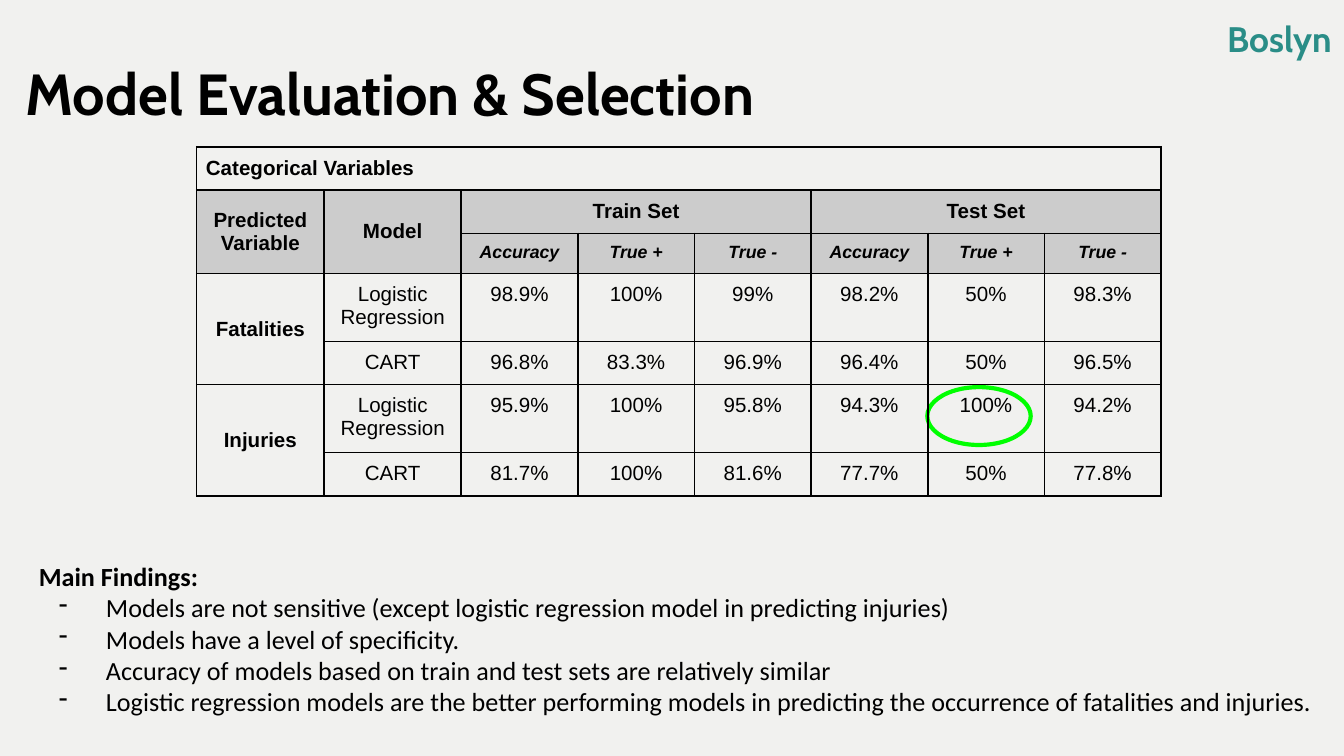
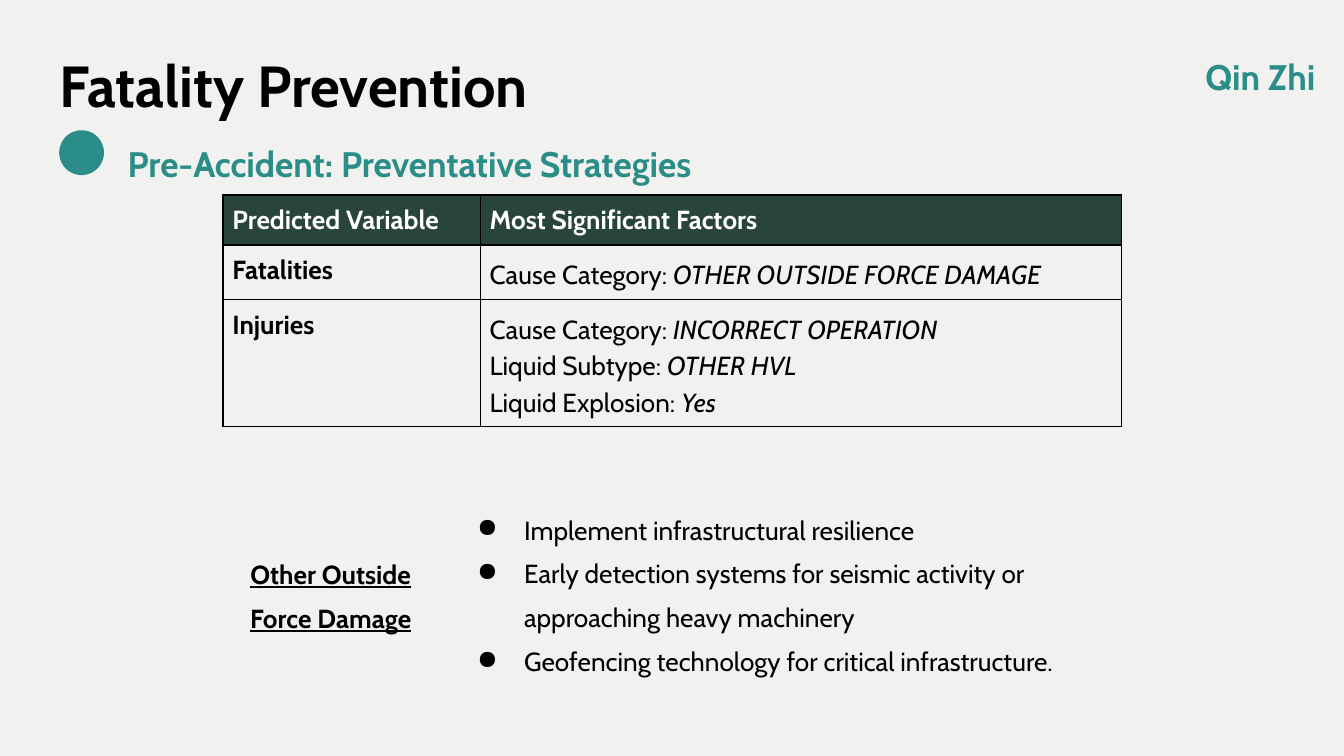
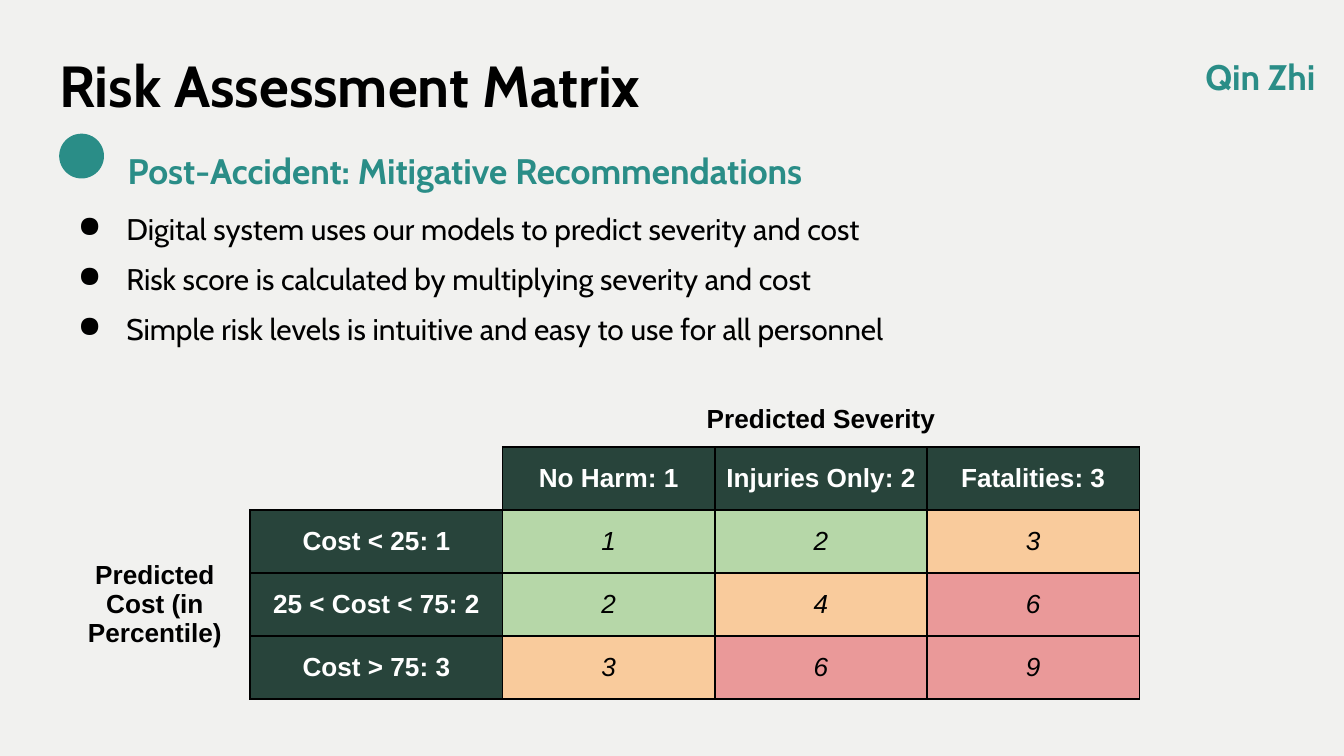
from lxml import etree
from pptx import Presentation
from pptx.dml.color import RGBColor
from pptx.enum.shapes import MSO_SHAPE
from pptx.enum.text import MSO_ANCHOR, MSO_AUTO_SIZE, PP_ALIGN
from pptx.oxml.ns import qn
from pptx.util import Pt

OVAL = MSO_SHAPE.OVAL
TOP, MIDDLE = MSO_ANCHOR.TOP, MSO_ANCHOR.MIDDLE
LEFT, CENTER, JUSTIFY = PP_ALIGN.LEFT, PP_ALIGN.CENTER, PP_ALIGN.JUSTIFY
GROW = MSO_AUTO_SIZE.SHAPE_TO_FIT_TEXT
FIXED = MSO_AUTO_SIZE.NONE

COLORS = {
    "background": "F1F1EF",
    "text": "000000",
    "white": "FFFFFF",
    "teal": "2A8D87",
    "header": "28443B",
    "gray": "CCCCCC",
    "marker": "00FF00",
    "low": "B6D7A8",
    "medium": "F9CB9C",
    "high": "EA9999",
}

HEADING_FONT = "Cabin"
TABLE_FONT = "Arial"
CELL_MARGIN = 5
ALL_SIDES = "LRTB"


def rgb(name):
    return RGBColor.from_string(COLORS[name])


# Text
def format_run(run, size, font=HEADING_FONT, color="text", bold=False,
               italic=False, underline=False):
    run.font.size = Pt(size)
    run.font.name = font
    run.font.color.rgb = rgb(color)
    run.font.bold = bold
    run.font.italic = italic
    run.font.underline = underline


def set_bullet(paragraph, character, hanging):
    properties = paragraph._p.get_or_add_pPr()
    properties.set("marL", str(Pt(36)))
    properties.set("indent", str(-Pt(hanging)))
    color = etree.SubElement(properties, qn("a:buClr"))
    etree.SubElement(color, qn("a:srgbClr"), val=COLORS["text"])
    etree.SubElement(properties, qn("a:buChar"), char=character)


def add_text(slide, left, top, width, height, text, size, align=LEFT,
             spacing=1.4, margin=0, auto_size=GROW, bullet=None, hanging=25.2,
             **run_style):
    """Add a text box; each line of text becomes a paragraph."""
    box = slide.shapes.add_textbox(Pt(left), Pt(top), Pt(width), Pt(height))
    text_frame = box.text_frame
    text_frame.word_wrap = True
    text_frame.auto_size = auto_size
    text_frame.margin_left = text_frame.margin_right = Pt(margin)
    text_frame.margin_top = text_frame.margin_bottom = Pt(margin)
    text_frame.text = text
    for paragraph in text_frame.paragraphs:
        paragraph.alignment = align
        paragraph.line_spacing = spacing
        if bullet:
            set_bullet(paragraph, bullet, hanging)
        for run in paragraph.runs:
            format_run(run, size, **run_style)
    return text_frame


def add_heading(slide, left, top, width, text):
    add_text(slide, left, top, width, 23, text, 19, color="teal", bold=True)


# Shapes
def add_oval(slide, left, top, width, height, fill=None, line=None):
    oval = slide.shapes.add_shape(OVAL, Pt(left), Pt(top), Pt(width), Pt(height))
    oval.shadow.inherit = False
    if fill:
        oval.fill.solid()
        oval.fill.fore_color.rgb = rgb(fill)
    else:
        oval.fill.background()
    if line:
        oval.line.color.rgb = rgb(line)
        oval.line.width = Pt(2.25)
    else:
        oval.line.fill.background()


# Tables
def set_borders(cell, sides):
    properties = cell._tc.get_or_add_tcPr()
    for side in ALL_SIDES:
        line = etree.SubElement(properties, qn("a:ln" + side), w=str(Pt(1)))
        if side in sides:
            fill = etree.SubElement(line, qn("a:solidFill"))
            etree.SubElement(fill, qn("a:srgbClr"), val=COLORS["text"])
        else:
            etree.SubElement(line, qn("a:noFill"))


def fill_cell(cell, fill):
    if fill:
        cell.fill.solid()
        cell.fill.fore_color.rgb = rgb(fill)
    else:
        cell.fill.background()


def write_cell(cell, text, size, align=CENTER, anchor=MIDDLE, **run_style):
    cell.margin_left = cell.margin_right = Pt(CELL_MARGIN)
    cell.margin_top = cell.margin_bottom = Pt(CELL_MARGIN)
    cell.vertical_anchor = anchor
    cell.text_frame.text = text
    for paragraph in cell.text_frame.paragraphs:
        paragraph.alignment = align
        for run in paragraph.runs:
            format_run(run, size, **run_style)


def write_factors(cell, factors):
    """Write one line per factor, with its value in italics."""
    write_cell(cell, "\n".join(f"{name}: " for name, _ in factors), 14,
               align=JUSTIFY, anchor=TOP)
    for paragraph, (_, value) in zip(cell.text_frame.paragraphs, factors):
        paragraph.line_spacing = 1.15
        run = paragraph.add_run()
        run.text = value
        format_run(run, 14, italic=True)


def add_grid(slide, left, top, widths, heights, merges=(), borders=None,
             fill_for=lambda row, column: None):
    """Add a table with borders and fills; borders overrides sides by cell."""
    frame = slide.shapes.add_table(len(heights), len(widths), Pt(left), Pt(top),
                                   Pt(sum(widths)), Pt(sum(heights)))
    table = frame.table
    table.first_row = table.horz_banding = False
    for column, width in zip(table.columns, widths):
        column.width = Pt(width)
    for row, height in zip(table.rows, heights):
        row.height = Pt(height)
    for row in range(len(heights)):
        for column in range(len(widths)):
            cell = table.cell(row, column)
            set_borders(cell, (borders or {}).get((row, column), ALL_SIDES))
            fill_cell(cell, fill_for(row, column))
    for first, last in merges:
        table.cell(*first).merge(table.cell(*last))
    return table


# Slides
def add_slide(presentation, title, title_at, presenter, presenter_at):
    slide = presentation.slides.add_slide(presentation.slide_layouts[6])
    slide.background.fill.solid()
    slide.background.fill.fore_color.rgb = rgb("background")
    add_text(slide, *title_at, 652, 37.4, title, 31, spacing=1.21, bold=True)
    add_heading(slide, *presenter_at, 83.5, presenter)
    return slide


def add_evaluation_slide(presentation):
    slide = add_slide(presentation, "Model Evaluation & Selection", (13.7, 23),
                      "Boslyn", (657.4, 0))
    add_oval(slide, 496.8, 207.4, 55.4, 31, line="marker")

    findings = add_text(
        slide, 13.7, 293, 699, 79.2,
        "Main Findings:\n"
        "Models are not sensitive (except logistic regression model in predicting injuries)\n"
        "Models have a level of specificity.\n"
        "Accuracy of models based on train and test sets are relatively similar\n"
        "Logistic regression models are the better performing models in predicting "
        "the occurrence of fatalities and injuries.",
        14, spacing=1.0, margin=7.2, auto_size=FIXED, font="Calibri")
    heading, *points = findings.paragraphs
    heading.runs[0].font.bold = True
    for point in points:
        set_bullet(point, "-", 25.2)

    table = add_grid(
        slide, 105.3, 78.6, [68.4, 73.4] + [62.5] * 6, [21] * 7,
        merges=[((0, 0), (0, 7)), ((1, 0), (2, 0)), ((1, 1), (2, 1)),
                ((1, 2), (1, 4)), ((1, 5), (1, 7)),
                ((3, 0), (4, 0)), ((5, 0), (6, 0))],
        fill_for=lambda row, column: "gray" if row in (1, 2) else None)

    # Headers
    write_cell(table.cell(0, 0), "Categorical Variables", 11, align=LEFT,
               font=TABLE_FONT, bold=True)
    headers = {(1, 0): "Predicted Variable", (1, 1): "Model",
               (1, 2): "Train Set", (1, 5): "Test Set",
               (3, 0): "Fatalities", (5, 0): "Injuries"}
    for position, text in headers.items():
        write_cell(table.cell(*position), text, 11, font=TABLE_FONT, bold=True)
    for column, text in enumerate(["Accuracy", "True +", "True -"] * 2, 2):
        write_cell(table.cell(2, column), text, 9.5, anchor=TOP,
                   font=TABLE_FONT, bold=True, italic=True)

    # Results
    results = [
        ["Logistic Regression", "98.9%", "100%", "99%", "98.2%", "50%", "98.3%"],
        ["CART", "96.8%", "83.3%", "96.9%", "96.4%", "50%", "96.5%"],
        ["Logistic Regression", "95.9%", "100%", "95.8%", "94.3%", "100%", "94.2%"],
        ["CART", "81.7%", "100%", "81.6%", "77.7%", "50%", "77.8%"],
    ]
    for row, values in enumerate(results, 3):
        for column, text in enumerate(values, 1):
            write_cell(table.cell(row, column), text, 11, anchor=TOP, font=TABLE_FONT)


def add_prevention_slide(presentation):
    slide = add_slide(presentation, "Fatality Prevention", (31.7, 18.7),
                      "Qin Zhi", (645.8, 20.2))
    add_text(slide, 244.8, 268.6, 378.7, 88.6,
             "Implement infrastructural resilience\n"
             "Early detection systems for seismic activity or approaching heavy machinery\n"
             "Geofencing technology for critical infrastructure.",
             14, bullet="●")
    add_text(slide, 128.2, 292.3, 98, 41, "Other Outside Force Damage", 14,
             align=CENTER, bold=True, underline=True)

    # Significant factors
    table = add_grid(slide, 119.5, 104.4, [137.8, 343.6], [26.8, 29, 68],
                     fill_for=lambda row, column: None if row else "header")
    for column, text in enumerate(["Predicted Variable", "Most Significant Factors"]):
        write_cell(table.cell(0, column), text, 14, align=LEFT, color="white", bold=True)
    factors = {
        "Fatalities": [("Cause Category", "OTHER OUTSIDE FORCE DAMAGE")],
        "Injuries": [("Cause Category", "INCORRECT OPERATION"),
                     ("Liquid Subtype", "OTHER HVL"),
                     ("Liquid Explosion", "Yes")],
    }
    for row, (variable, variable_factors) in enumerate(factors.items(), 1):
        write_cell(table.cell(row, 0), variable, 14, align=LEFT, anchor=TOP, bold=True)
        write_factors(table.cell(row, 1), variable_factors)

    add_oval(slide, 31.7, 69.8, 24, 24, fill="teal")
    add_heading(slide, 68.4, 67, 370, "Pre-Accident: Preventative Strategies")


def risk_level(score):
    if score <= 2:
        return "low"
    return "medium" if score <= 4 else "high"


def matrix_fill(row, column):
    if row >= 2 and column >= 2:
        return risk_level((row - 1) * (column - 1))
    is_header = (row == 1 and column >= 2) or (row >= 2 and column == 1)
    return "header" if is_header else None


def add_matrix_slide(presentation):
    slide = add_slide(presentation, "Risk Assessment Matrix", (31.7, 18.7),
                      "Qin Zhi", (645.8, 20.2))
    add_oval(slide, 31.7, 71.6, 24, 24, fill="teal")
    add_heading(slide, 68.4, 70.6, 395.3, "Post-Accident: Mitigative Recommendations")

    # Risk matrix
    borders = {(0, 0): "", (0, 1): "", (1, 0): "", (1, 1): "RB"}
    borders.update({(0, column): "B" for column in range(2, 5)})
    borders.update({(row, 0): "R" for row in range(2, 5)})
    table = add_grid(slide, 31.9, 210.2, [102.2, 135.2] + [113.7] * 3,
                     [29.2] + [33.8] * 4,
                     merges=[((0, 2), (0, 4)), ((2, 0), (4, 0))],
                     borders=borders, fill_for=matrix_fill)
    axes = {(0, 2): "Predicted Severity", (2, 0): "Predicted Cost (in Percentile)"}
    for position, text in axes.items():
        write_cell(table.cell(*position), text, 14, font=TABLE_FONT, bold=True)
    severities = ["No Harm", "Injuries Only", "Fatalities"]
    costs = ["Cost < 25", "25 < Cost < 75", "Cost > 75"]
    header_style = {"font": TABLE_FONT, "color": "white", "bold": True}
    for severity, name in enumerate(severities, 1):
        write_cell(table.cell(1, severity + 1), f"{name}: {severity}", 14, **header_style)
    for cost, name in enumerate(costs, 1):
        write_cell(table.cell(cost + 1, 1), f"{name}: {cost}", 14, **header_style)
        for severity in range(1, len(severities) + 1):
            write_cell(table.cell(cost + 1, severity + 1), str(cost * severity), 14,
                       font=TABLE_FONT, italic=True)

    add_text(slide, 31.7, 105.1, 602, 73.4,
             "Digital system uses our models to predict severity and cost\n"
             "Risk score is calculated by multiplying severity and cost\n"
             "Simple risk levels is intuitive and easy to use for all personnel",
             16, bullet="●", hanging=26)


def main():
    presentation = Presentation()
    presentation.slide_width = Pt(720)
    presentation.slide_height = Pt(405)
    add_evaluation_slide(presentation)
    add_prevention_slide(presentation)
    add_matrix_slide(presentation)
    presentation.save("out.pptx")


if __name__ == "__main__":
    main()
